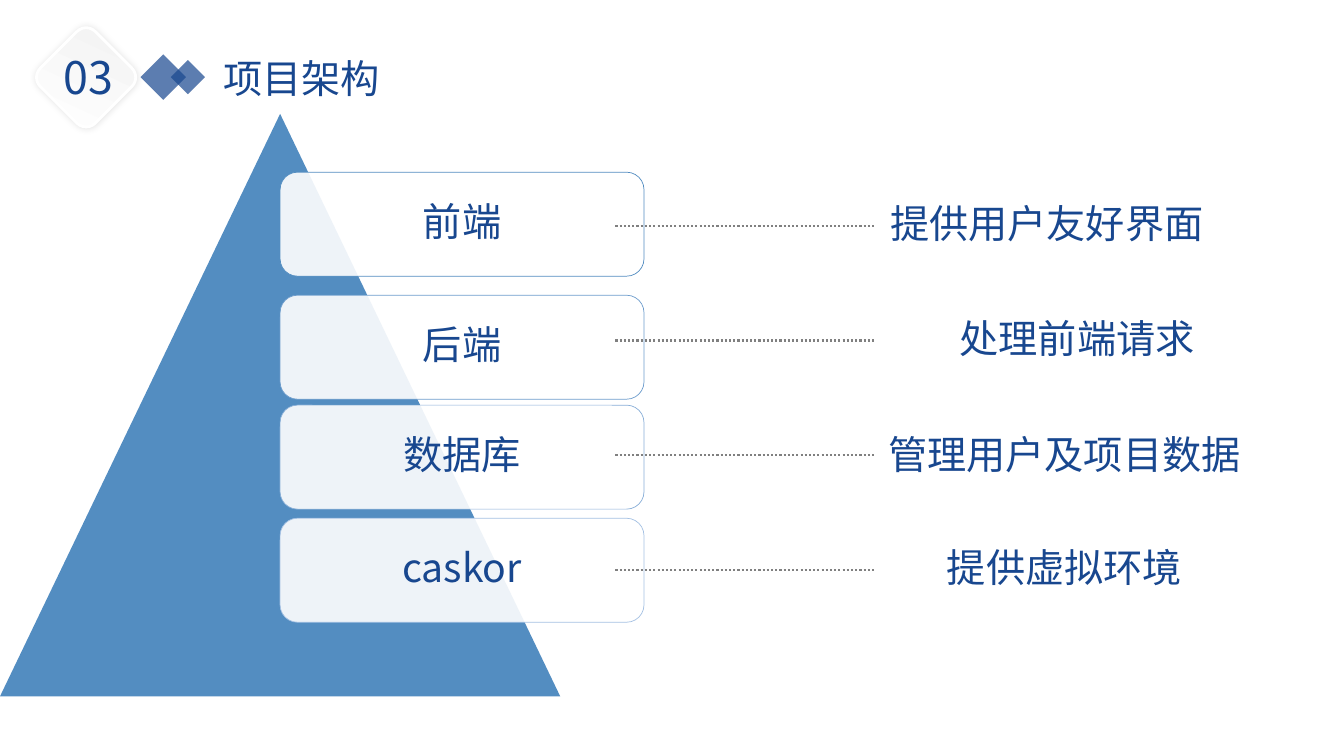
from lxml import etree
from pptx import Presentation
from pptx.dml.color import RGBColor
from pptx.enum import dml, shapes, text
from pptx.oxml import parse_xml
from pptx.oxml.ns import qn
from pptx.util import Cm, Pt

FONT = "Noto Sans CJK SC"
DRAWING_NS = "http://schemas.openxmlformats.org/drawingml/2006/main"
COLORS = {
    "navy": "18478F", "blue": "538DC1", "white": "FFFFFF",
    "pale": "F2F2F2", "gray": "808080",
}


def paint(shape, color, opacity=100):
    shape.shadow.inherit = False
    shape.fill.solid()
    shape.fill.fore_color.rgb = RGBColor.from_string(color)
    shape.line.fill.background()
    if opacity < 100:
        swatch = shape.fill._xPr.find(qn("a:solidFill"))[0]
        etree.SubElement(swatch, qn("a:alpha")).set("val", str(opacity * 1000))


def write(shape, words, size=28, align=text.PP_ALIGN.LEFT, spacing=1.0):
    frame = shape.text_frame
    frame.text = words
    frame.word_wrap = True
    paragraph = frame.paragraphs[0]
    paragraph.alignment = align
    paragraph.line_spacing = spacing
    font = paragraph.runs[0].font
    font.size = Pt(size)
    font.name = FONT
    font.color.rgb = RGBColor.from_string(COLORS["navy"])
    etree.SubElement(font._element, qn("a:ea")).set("typeface", FONT)
    return frame


deck = Presentation()
deck.slide_width, deck.slide_height = Cm(33.87), Cm(19.05)
slide = deck.slides.add_slide(deck.slide_layouts[6])
canvas = slide.shapes

for left, top, side in [(3.71, 1.54, 0.81), (4.43, 1.64, 0.61)]:
    diamond = canvas.add_shape(
        shapes.MSO_SHAPE.RECTANGLE, Cm(left), Cm(top), Cm(side), Cm(side))
    diamond.rotation = 45
    paint(diamond, COLORS["navy"], 70)

heading = canvas.add_textbox(Cm(5.38), Cm(1.24), Cm(8.26), Cm(1.45))
write(heading, "项目架构")

badge = canvas.add_shape(
    shapes.MSO_SHAPE.ROUNDED_RECTANGLE, Cm(1.19), Cm(0.97), Cm(1.96), Cm(1.96))
badge.rotation = 45
badge.fill.gradient()
badge.fill.gradient_angle = 110
for stop, tone in zip(badge.fill.gradient_stops, ["white", "pale"]):
    stop.color.rgb = RGBColor.from_string(COLORS[tone])
badge.line.color.rgb = RGBColor.from_string(COLORS["white"])
badge.line.width = Pt(2)
badge._element.spPr.append(parse_xml(
    f'<a:effectLst xmlns:a="{DRAWING_NS}">'
    f'<a:outerShdw blurRad="{Pt(5)}" dist="0" dir="0" algn="ctr">'
    '<a:srgbClr val="000000"><a:alpha val="11000"/></a:srgbClr>'
    '</a:outerShdw></a:effectLst>'))

number = canvas.add_textbox(Cm(1.35), Cm(1.12), Cm(1.85), Cm(1.63))
write(number, "03", size=32).word_wrap = False

pyramid = canvas.add_shape(
    shapes.MSO_SHAPE.ISOSCELES_TRIANGLE, Cm(0), Cm(2.87), Cm(14.12), Cm(14.68))
paint(pyramid, COLORS["blue"])

layers = [
    ("前端", 4.34, "538DC1", "提供用户友好界面", 5.03, 8.66),
    ("后端", 7.44, "6E9DCD", "处理前端请求", 7.92, 10.19),
    ("数据库", 10.21, "89AFD8", "管理用户及项目数据", 10.86, 9.55),
    ("caskor", 13.06, "A5C1E3", "提供虚拟环境", 13.69, 9.55),
]
for row, (name, top, outline, purpose, purpose_top, purpose_width) in enumerate(layers):
    layer = canvas.add_shape(
        shapes.MSO_SHAPE.ROUNDED_RECTANGLE, Cm(7.06), Cm(top), Cm(9.17), Cm(2.62))
    paint(layer, COLORS["white"], 90)
    layer.line.color.rgb = RGBColor.from_string(outline)
    layer.line.width = Pt(0.5)
    label = write(layer, name, align=text.PP_ALIGN.CENTER, spacing=0.9)
    label.vertical_anchor = text.MSO_ANCHOR.MIDDLE

    leader_y = Cm(5.69 + 2.89 * row)
    leader = canvas.add_connector(
        shapes.MSO_CONNECTOR.STRAIGHT, Cm(15.51), leader_y, Cm(22.04), leader_y)
    leader.line.color.rgb = RGBColor.from_string(COLORS["gray"])
    leader.line.width = Pt(1.5)
    leader.line.dash_style = dml.MSO_LINE.ROUND_DOT
    etree.SubElement(leader._element.spPr, qn("a:effectLst"))

    description = canvas.add_textbox(
        Cm(22.05), Cm(purpose_top), Cm(purpose_width), Cm(1.35))
    write(description, purpose, align=text.PP_ALIGN.CENTER, spacing=0.9)

deck.save("out.pptx")
